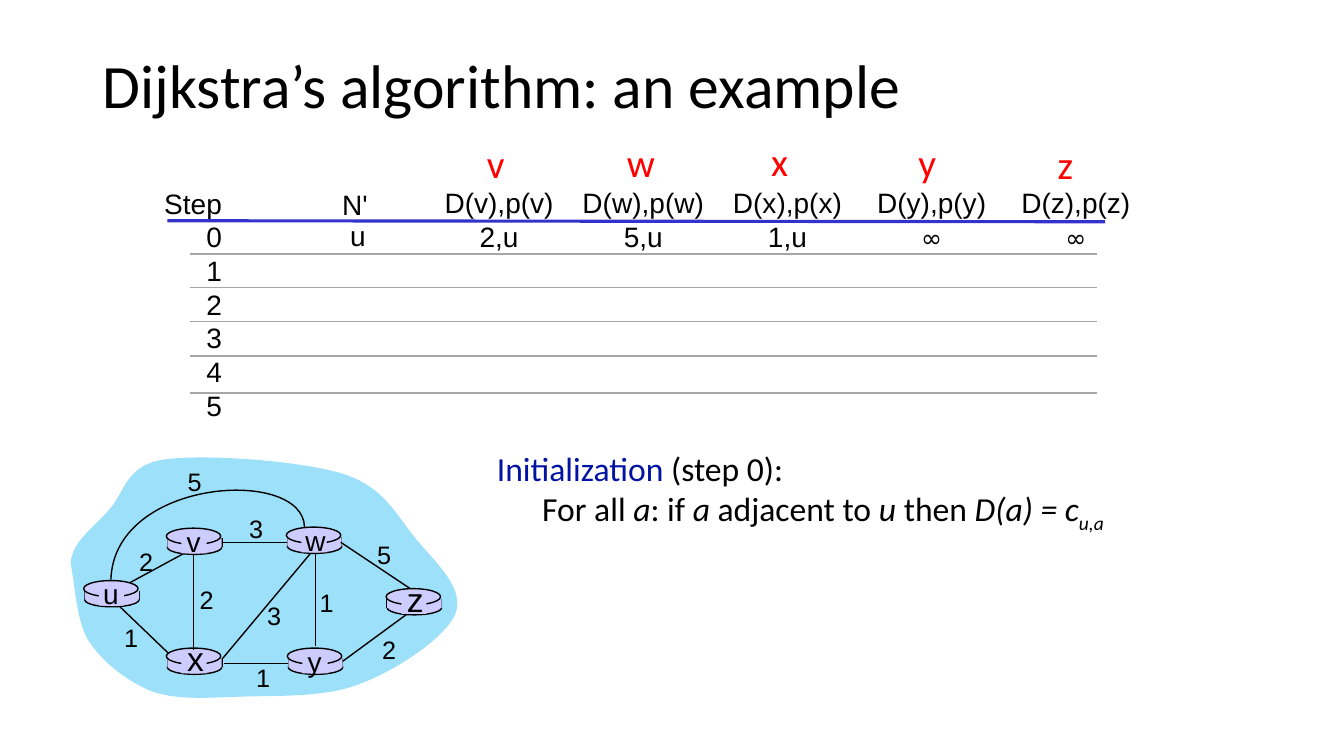
from lxml.etree import SubElement
from pptx import Presentation
from pptx.dml.color import RGBColor
from pptx.enum.shapes import MSO_CONNECTOR, MSO_SHAPE
from pptx.enum.text import MSO_ANCHOR, MSO_AUTO_SIZE, PP_ALIGN
from pptx.oxml.ns import qn
from pptx.util import Cm, Pt

BLACK, RED, NAVY = "000000", "FF0000", "0013A3"
RULE, GRAY, LILAC, SKY = "3333CC", "A6A6A6", "CCCCFF", "9CE0FA"

# Destination, left and top of its red heading, cost in step 0
COLUMNS = [("v", 4.73, 1.33, "2,u"), ("w", 6.12, 1.32, "5,u"), ("x", 7.55, 1.31, "1,u"),
           ("y", 9.01, 1.32, "∞"), ("z", 10.39, 1.34, "∞")]
FIRST_COLUMN, COLUMN_PITCH = 4.95, 1.43
ROW_RULES = [2.52, 2.85, 3.19, 3.53, 3.9]

# Router name, left, top, label size
ROUTERS = [("u", 0.83, 5.76, 20), ("x", 1.65, 6.43, 24), ("v", 1.65, 5.24, 20),
           ("w", 2.84, 5.23, 20), ("y", 2.85, 6.43, 20), ("z", 3.83, 5.84, 24)]
ROUTER_WIDTH = 0.54
UV_LINK = (1.29, 5.78, 1.88, 5.46)
LINKS = [(3.13, 5.5, 3.13, 6.41), (1.92, 5.51, 1.92, 6.45), (2.21, 6.53, 3.08, 5.49),
         (3.4, 6.56, 4.04, 6.09), (2.86, 6.58, 2.22, 6.58), (1.67, 6.48, 1.19, 6.02),
         (2.85, 5.38, 2.21, 5.38), (4.07, 5.84, 3.38, 5.38)]
# Link cost, centre, top
LINK_COSTS = [("2", 1.45, 5.37), ("2", 2.05, 5.75), ("1", 1.3, 6.12), ("3", 2.72, 5.91),
              ("1", 2.61, 6.52), ("1", 3.24, 5.78), ("2", 3.86, 6.24), ("5", 3.81, 5.3),
              ("3", 2.54, 5.04), ("5", 1.93, 4.58)]

# Start point, then control, control and end of each cubic curve
CLOUD = [(0.7, 5.59),
         (0.71, 5.38), (0.93, 5.23), (1.08, 5.06),
         (1.24, 4.89), (1.24, 4.62), (1.62, 4.56),
         (2.01, 4.5), (2.98, 4.57), (3.4, 4.7),
         (3.81, 4.83), (3.93, 5.11), (4.12, 5.34),
         (4.31, 5.57), (4.61, 5.83), (4.52, 6.08),
         (4.43, 6.32), (3.93, 6.65), (3.58, 6.78),
         (3.24, 6.92), (2.77, 6.9), (2.43, 6.91),
         (2.08, 6.92), (1.77, 6.95), (1.51, 6.86),
         (1.26, 6.76), (1.02, 6.57), (0.88, 6.36),
         (0.75, 6.15), (0.74, 5.75), (0.7, 5.59)]
UW_LINK = [(3.02, 5.23), (3.01, 4.63), (1.13, 4.74), (1.1, 5.75)]


def inch(value):
    return Cm(value * 2.54)


def rgb(color):
    return RGBColor.from_string(color)


def paint(sp, fill=None, line=None):
    sp.shadow.inherit = False
    if fill:
        sp.fill.solid()
        sp.fill.fore_color.rgb = rgb(fill)
    else:
        sp.fill.background()
    if line:
        sp.line.color.rgb = rgb(line)
        sp.line.width = Pt(1)
    else:
        sp.line.fill.background()


def add_block(s, kind, x, y, w, h, line=None):
    sp = s.shapes.add_shape(kind, inch(x), inch(y), inch(w), inch(h))
    paint(sp, LILAC, line)


def add_line(s, x1, y1, x2, y2, color=BLACK, width=1):
    line = s.shapes.add_connector(MSO_CONNECTOR.STRAIGHT, inch(x1), inch(y1), inch(x2), inch(y2))
    line.line.color.rgb = rgb(color)
    line.line.width = Pt(width)
    SubElement(line._element.spPr, qn("a:effectLst"))


def add_curve(s, points, fill=None, line=None):
    """Draw joined cubic curves; a filled outline is closed."""
    start, *rest = [(inch(x), inch(y)) for x, y in points]
    builder = s.shapes.build_freeform(*start)
    builder.add_line_segments(rest, close=fill is not None)
    sp = builder.convert_to_shape()
    # Each three straight segments become one cubic curve
    segments = list(sp._element.iter(qn("a:lnTo")))
    for first, second, third in zip(segments[::3], segments[1::3], segments[2::3]):
        first.tag = qn("a:cubicBezTo")
        for segment in (second, third):
            first.append(segment[0])
            segment.getparent().remove(segment)
    paint(sp, fill, line)


def style(r, size, font="Arial", color=BLACK, italic=False):
    r.font.size = Pt(size)
    r.font.name = font
    r.font.color.rgb = rgb(color)
    r.font.italic = italic


def add_text(s, text, x, y, w, h, size, font="Arial", color=BLACK, align=PP_ALIGN.LEFT):
    tf = s.shapes.add_textbox(inch(x), inch(y), inch(w), inch(h)).text_frame
    tf.word_wrap = False
    tf.auto_size = MSO_AUTO_SIZE.SHAPE_TO_FIT_TEXT
    tf.text = text
    for p in tf.paragraphs:
        p.alignment = align
        for r in p.runs:
            style(r, size, font, color)
    return tf


def add_centred(s, text, cx, y, w, h, size, font="Arial"):
    add_text(s, text, cx - w / 2, y, w, h, size, font, align=PP_ALIGN.CENTER)


def add_router(s, x, y):
    drum = x + 0.01
    add_block(s, MSO_SHAPE.OVAL, drum, y + 0.12, ROUTER_WIDTH, 0.14, BLACK)
    for side in (drum, drum + ROUTER_WIDTH):
        add_line(s, side, y + 0.1, side, y + 0.19)
    add_block(s, MSO_SHAPE.RECTANGLE, drum, y + 0.1, ROUTER_WIDTH, 0.09)
    add_block(s, MSO_SHAPE.OVAL, x, y, ROUTER_WIDTH, 0.16, BLACK)


def add_router_name(s, name, x, y, size):
    add_block(s, MSO_SHAPE.RECTANGLE, x + 0.15, y + 0.02, 0.25, 0.23)
    if size == 20:
        add_centred(s, name, x + 0.27, y - 0.09, 0.36, 0.43, size)
    else:
        add_centred(s, name, x + 0.29, y - 0.15, 0.37, 0.5, size)


def add_network(s):
    add_curve(s, CLOUD, fill=SKY)
    add_line(s, *UV_LINK)
    for _, x, y, _ in ROUTERS:
        add_router(s, x, y)
    for link in LINKS:
        add_line(s, *link)
    add_curve(s, UW_LINK, line=BLACK)
    for router in ROUTERS:
        add_router_name(s, *router)
    for cost, cx, y in LINK_COSTS:
        add_centred(s, cost, cx, y, 0.34, 0.4, 18)


def add_step_table(s):
    steps = "\n".join(["Step"] + [str(n) for n in range(6)])
    add_text(s, steps, 1.53, 1.8, 0.77, 2.43, 20, align=PP_ALIGN.RIGHT)
    add_centred(s, "N'", 3.52, 1.81, 0.46, 0.44, 20)
    add_centred(s, "u", 3.55, 2.12, 0.36, 0.44, 20)
    add_line(s, 1.66, 2.19, 10.96, 2.2, RULE, 2.25)
    for y in ROW_RULES:
        add_line(s, 1.88, y, 10.88, y, GRAY)
    for i, (name, name_x, name_y, cost) in enumerate(COLUMNS):
        cx = FIRST_COLUMN + i * COLUMN_PITCH
        add_text(s, name, name_x, name_y, 0.48 if name == "w" else 0.38, 0.57, 28, "Calibri", RED)
        width = 1.42 if name == "w" else 1.29
        add_centred(s, f"D({name}),p({name})", cx, 1.79, width, 0.44, 20)
        if cost == "∞":
            add_centred(s, cost, cx, 2.16, 0.41, 0.4, 18, "Comic Neue")
        else:
            add_centred(s, cost, cx, 2.13, 0.59, 0.44, 20)


def add_initialization(s):
    tf = s.shapes.add_textbox(inch(4.83), inch(4.44), inch(6.74), inch(0.83)).text_frame
    tf.word_wrap = True
    heading, rule = tf.paragraphs[0], tf.add_paragraph()
    for text, color in (("Initialization", NAVY), (" (step 0):", BLACK)):
        r = heading.add_run()
        r.text = text
        style(r, 24, "Calibri", color)
    parts = ["For all ", "a", ": if ", "a", " adjacent to ", "u", " then ", "D(a) = c", "u,a"]
    for i, text in enumerate(parts):
        r = rule.add_run()
        r.text = text
        style(r, 24, "Calibri", italic=i % 2 == 1 or text == "u,a")
    r.font._element.set("baseline", "-25000")
    rule._p.get_or_add_pPr().set("marL", str(inch(0.45)))
    for p in tf.paragraphs:
        p.line_spacing = 0.9


def main():
    prs = Presentation()
    prs.slide_width, prs.slide_height = inch(13.33), inch(7.5)
    s = prs.slides.add_slide(prs.slide_layouts[6])
    title = add_text(s, "Dijkstra’s algorithm: an example", 0.92, 0.39, 12.23, 0.98, 44, "Calibri")
    title.word_wrap = True
    title.auto_size = MSO_AUTO_SIZE.NONE
    title.vertical_anchor = MSO_ANCHOR.MIDDLE
    title.paragraphs[0].line_spacing = 0.9
    add_network(s)
    add_step_table(s)
    add_initialization(s)
    prs.save("out.pptx")


if __name__ == "__main__":
    main()
